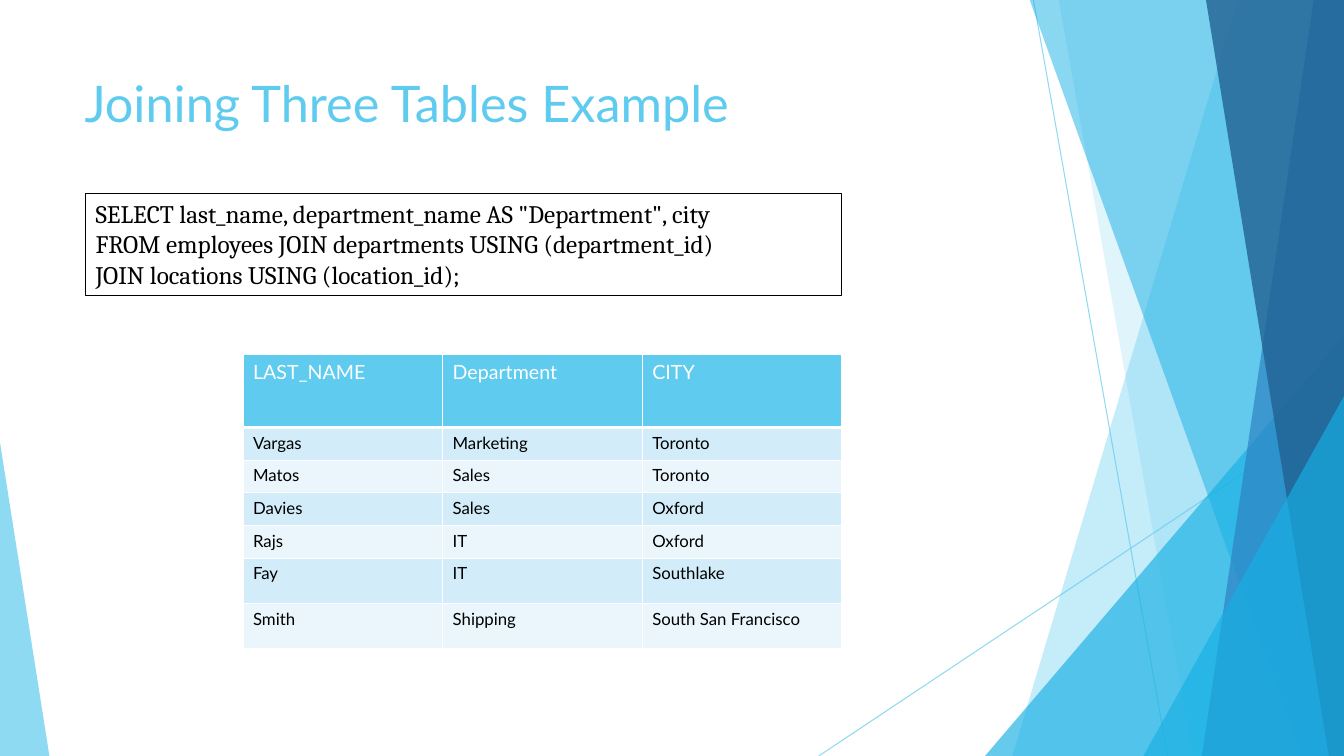
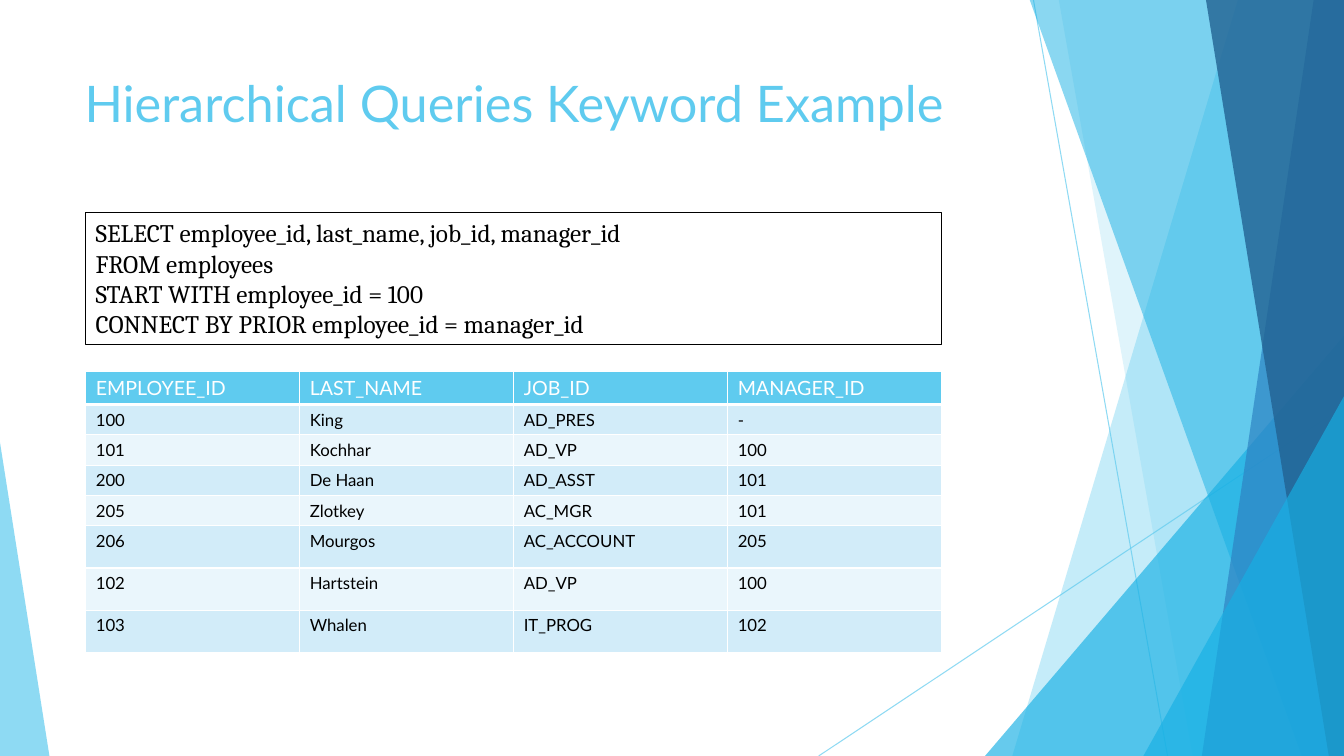
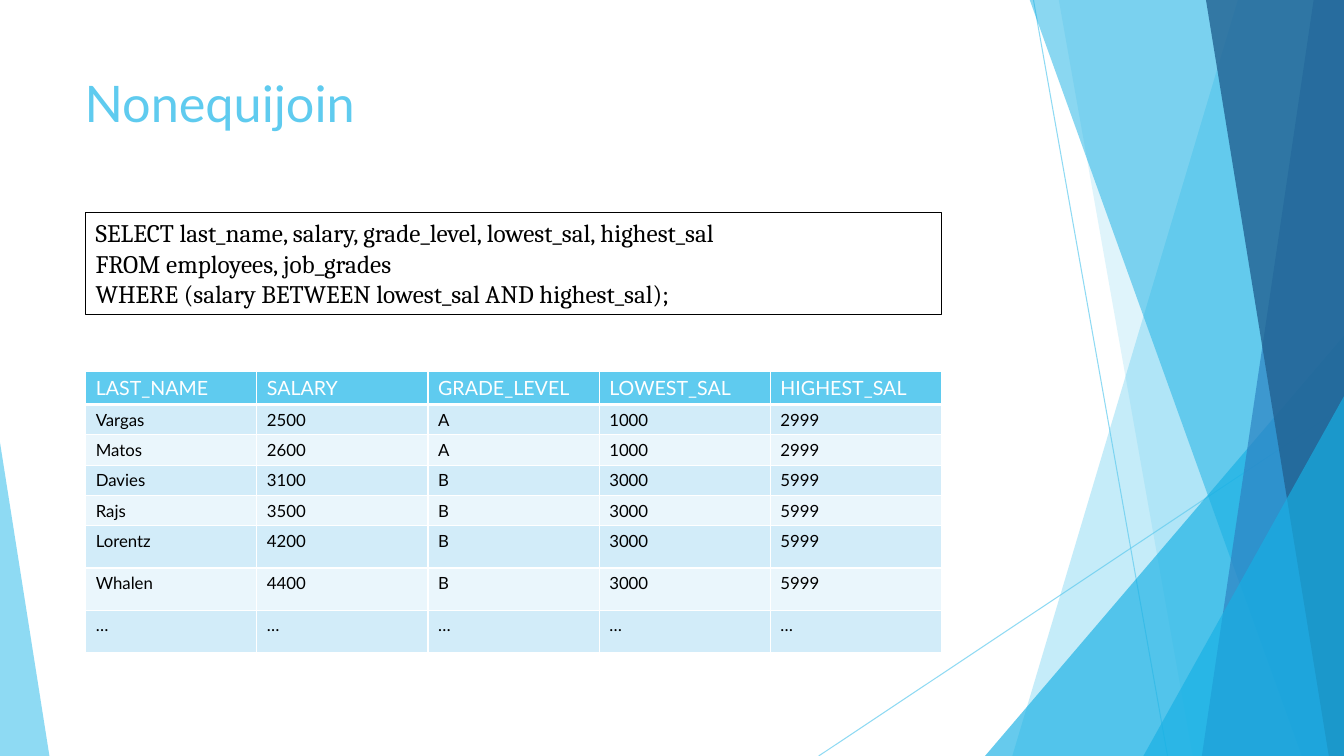
import pptx
import pptx.util
import pptx.dml.color
import pptx.enum.shapes
import pptx.enum.text
import pptx.oxml
import pptx.oxml.ns
import lxml.etree

Inches, Pt = pptx.util.Inches, pptx.util.Pt
RGBColor = pptx.dml.color.RGBColor
MSO_SHAPE = pptx.enum.shapes.MSO_SHAPE
qn = pptx.oxml.ns.qn

SKY = RGBColor(0x5F, 0xCB, 0xEF)
CYAN = RGBColor(0x17, 0xB0, 0xE4)
BLUE = RGBColor(0x2E, 0x83, 0xC3)
NAVY = RGBColor(0x22, 0x62, 0x92)
BAND_DARK = RGBColor(0xD2, 0xEC, 0xF9)
BAND_LIGHT = RGBColor(0xEA, 0xF6, 0xFC)
WHITE = RGBColor(0xFF, 0xFF, 0xFF)
BLACK = RGBColor(0, 0, 0)
BODY_FONT, CODE_FONT = "Lato", "Cambria"

WIDTH, HEIGHT = 13.33, 7.5
BAND_TOP = -0.01
SHORT_ROWS = 4  # rows after the header; the rows below them are taller

# Backdrop, from back to front
RAYS = [((10.25, 0), (11.58, HEIGHT)), ((WIDTH, 4.03), (8.12, HEIGHT))]
FACETS = [
    # ("band", x at top, x at bottom, colour, opacity %)
    # ("triangle", left, top, width, apex, colour, opacity %)
    ("band", 12.28, 10.04, SKY, 36),
    ("band", 10.5, 11.83, SKY, 20),
    ("triangle", 9.77, 3.33, 3.56, 1, CYAN, 66),
    ("band", 10.21, 12.91, CYAN, 50),
    ("band", 13.03, 11.92, BLUE, 70),
    ("band", 11.96, 13.18, NAVY, 80),
    ("triangle", 11.34, 3.93, 1.99, 1, CYAN, 66),
    ("triangle", 0, 4.39, 0.49, 0, SKY, 70),
]

SLIDES = [
    {
        "title": "Joining Three Tables Example",
        "code": [
            'SELECT last_name, department_name AS "Department", city',
            "FROM employees JOIN departments USING (department_id)",
            "JOIN locations USING (location_id);",
        ],
        "code_box": (0.85, 1.92, 7.5, 1.01),
        "table_box": (2.41, 3.52, 5.94, 2.92),
        "header_height": 0.72,
        "tall_height": 0.45,
        "rows": [
            ("LAST_NAME", "Department", "CITY"),
            ("Vargas", "Marketing", "Toronto"),
            ("Matos", "Sales", "Toronto"),
            ("Davies", "Sales", "Oxford"),
            ("Rajs", "IT", "Oxford"),
            ("Fay", "IT", "Southlake"),
            ("Smith", "Shipping", "South San Francisco"),
        ],
    },
    {
        "title": "Hierarchical Queries Keyword Example",
        "code": [
            "SELECT employee_id, last_name, job_id, manager_id",
            "FROM employees",
            "START WITH employee_id = 100",
            "CONNECT BY PRIOR employee_id = manager_id",
        ],
        "code_box": (0.85, 2.11, 8.49, 1.31),
        "table_box": (0.85, 3.68, 8.49, 2.78),
        "header_height": 0.32,
        "tall_height": 0.42,
        "rows": [
            ("EMPLOYEE_ID", "LAST_NAME", "JOB_ID", "MANAGER_ID"),
            ("100", "King", "AD_PRES", "-"),
            ("101", "Kochhar", "AD_VP", "100"),
            ("200", "De Haan", "AD_ASST", "101"),
            ("205", "Zlotkey", "AC_MGR", "101"),
            ("206", "Mourgos", "AC_ACCOUNT", "205"),
            ("102", "Hartstein", "AD_VP", "100"),
            ("103", "Whalen", "IT_PROG", "102"),
        ],
    },
    {
        "title": "Nonequijoin",
        "code": [
            "SELECT last_name, salary, grade_level, lowest_sal, highest_sal",
            "FROM employees, job_grades",
            "WHERE (salary BETWEEN lowest_sal AND highest_sal);",
        ],
        "code_box": (0.85, 2.11, 8.49, 1.01),
        "table_box": (0.85, 3.68, 8.49, 2.78),
        "header_height": 0.32,
        "tall_height": 0.42,
        "rows": [
            ("LAST_NAME", "SALARY", "GRADE_LEVEL", "LOWEST_SAL", "HIGHEST_SAL"),
            ("Vargas", "2500", "A", "1000", "2999"),
            ("Matos", "2600", "A", "1000", "2999"),
            ("Davies", "3100", "B", "3000", "5999"),
            ("Rajs", "3500", "B", "3000", "5999"),
            ("Lorentz", "4200", "B", "3000", "5999"),
            ("Whalen", "4400", "B", "3000", "5999"),
            ("…",) * 5,
        ],
    },
]


def inches(values):
    return [Inches(v) for v in values]


def set_opacity(sp, percent):
    for clr in sp.element.iter(qn("a:srgbClr")):
        lxml.etree.SubElement(clr, qn("a:alpha"), val=str(percent * 1000))


def write(tf, lines, font, size, color):
    tf.text = "\n".join(lines)
    for p in tf.paragraphs:
        p.alignment = pptx.enum.text.PP_ALIGN.LEFT
        p.font.name, p.font.size, p.font.bold = font, Pt(size), False
        p.font.color.rgb = color


def add_ray(shapes, start, end):
    line = shapes.add_connector(
        pptx.enum.shapes.MSO_CONNECTOR.STRAIGHT, *inches(start + end))
    line.line.color.rgb = SKY
    line.line.width = Pt(0.75)
    lxml.etree.SubElement(line.element.spPr, qn("a:effectLst"))
    set_opacity(line, 70)


def add_band(shapes, top_x, bottom_x):
    """Add a four-sided band that reaches the right edge of the slide."""
    corners = [(WIDTH, BAND_TOP), (WIDTH, HEIGHT), (bottom_x, HEIGHT)]
    outline = shapes.build_freeform(Inches(top_x), Inches(BAND_TOP))
    outline.add_line_segments([inches(c) for c in corners], close=True)
    return outline.convert_to_shape()


def add_triangle(shapes, left, top, width, apex):
    """Add a triangle standing on the bottom edge; apex 0 is left, 1 right."""
    sp = shapes.add_shape(MSO_SHAPE.ISOSCELES_TRIANGLE,
                          *inches((left, top, width, HEIGHT - top)))
    sp.adjustments[0] = apex
    return sp


def add_backdrop(slide):
    """Draw the backdrop as a group and hand it to the slide's layout."""
    group = slide.shapes.add_group_shape()
    for start, end in RAYS:
        add_ray(group.shapes, start, end)
    for kind, *place, color, opacity in FACETS:
        add = add_band if kind == "band" else add_triangle
        sp = add(group.shapes, *place)
        sp.shadow.inherit = False
        sp.fill.solid()
        sp.fill.fore_color.rgb = color
        sp.line.fill.background()
        set_opacity(sp, opacity)
    slide.slide_layout.shapes.element.append(group.element)


def add_title(slide, text):
    tf = slide.shapes.add_textbox(*inches((0.74, 0.67, 9.4, 1.44))).text_frame
    tf.word_wrap = True
    write(tf, [text], BODY_FONT, 36, SKY)


def add_code(slide, lines, box):
    sp = slide.shapes.add_shape(MSO_SHAPE.RECTANGLE, *inches(box))
    sp.shadow.inherit = False
    sp.fill.background()
    sp.line.color.rgb = BLACK
    sp.line.width = Pt(0.75)
    tf = sp.text_frame
    tf.word_wrap = True
    tf.auto_size = pptx.enum.text.MSO_AUTO_SIZE.SHAPE_TO_FIT_TEXT
    tf.vertical_anchor = pptx.enum.text.MSO_ANCHOR.TOP
    write(tf, lines, CODE_FONT, 18, BLACK)


def set_borders(cell, top, bottom):
    """Give a cell white borders: 1 pt at the sides, the rest as stated."""
    tc_pr = cell._tc.get_or_add_tcPr()
    widths = {"a:lnL": 1, "a:lnR": 1, "a:lnT": top, "a:lnB": bottom}
    for i, (tag, width) in enumerate(widths.items()):
        ln = pptx.oxml.parse_xml(
            f'<{tag} {pptx.oxml.ns.nsdecls("a")} w="{Pt(width)}"><a:solidFill>'
            f'<a:srgbClr val="{WHITE}"/></a:solidFill></{tag}>')
        tc_pr.insert(i, ln)


def add_grid(slide, rows, box, header_height, tall_height):
    table = slide.shapes.add_table(
        len(rows), len(rows[0]), *inches(box)).table
    table.horz_banding = False
    for column in table.columns:
        column.width = Inches(box[2] / len(rows[0]))

    tall_count = len(rows) - 1 - SHORT_ROWS
    short_height = (box[3] - header_height - tall_height * tall_count) / SHORT_ROWS
    heights = ([header_height] + [short_height] * SHORT_ROWS
               + [tall_height] * tall_count)
    for r, (texts, height) in enumerate(zip(rows, heights)):
        table.rows[r].height = Inches(height)
        size, color, fill = 12, BLACK, BAND_DARK if r % 2 else BAND_LIGHT
        if r == 0:
            size, color, fill = 14, WHITE, SKY
        for c, text in enumerate(texts):
            cell = table.cell(r, c)
            cell.fill.solid()
            cell.fill.fore_color.rgb = fill
            set_borders(cell, top=3 if r == 1 else 1, bottom=3 if r == 0 else 1)
            write(cell.text_frame, [text], BODY_FONT, size, color)


def main():
    prs = pptx.Presentation()
    prs.slide_width, prs.slide_height = inches((WIDTH, HEIGHT))
    blank = prs.slide_layouts[6]
    for i, content in enumerate(SLIDES):
        slide = prs.slides.add_slide(blank)
        if i == 0:
            add_backdrop(slide)
        add_title(slide, content["title"])
        add_code(slide, content["code"], content["code_box"])
        add_grid(slide, content["rows"], content["table_box"],
                 content["header_height"], content["tall_height"])
    prs.save("out.pptx")


if __name__ == "__main__":
    main()
